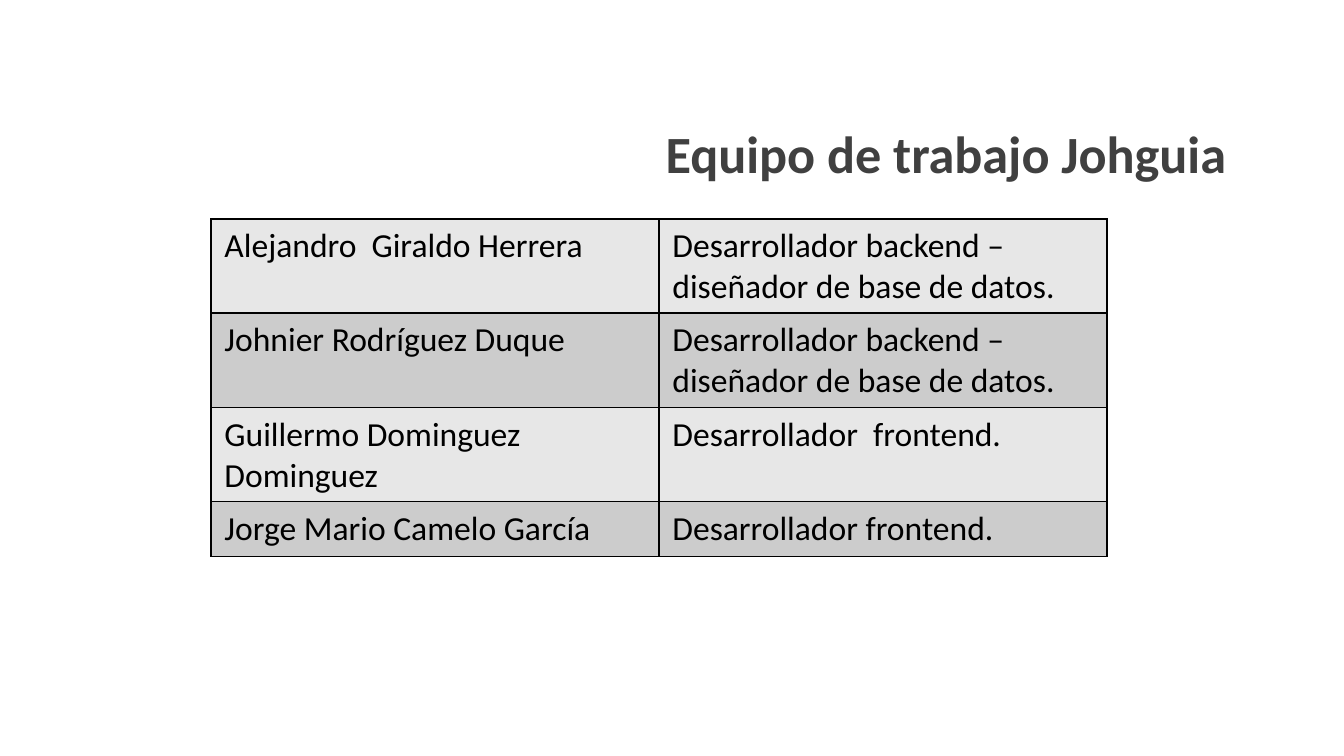
from dataclasses import dataclass

from lxml.etree import SubElement
from pptx import Presentation
from pptx.dml.color import RGBColor
from pptx.enum.text import PP_ALIGN
from pptx.oxml.ns import qn
from pptx.util import Inches, Pt


@dataclass(frozen=True)
class Theme:
    """Colours, font and type sizes of the slide."""
    font: str = "Calibri"
    heading: str = "404040"
    body: str = "000000"
    border: str = "000000"
    bands: tuple = ("E7E7E7", "CCCCCC")
    heading_size: int = 28
    body_size: int = 18
    border_width: int = 1


THEME = Theme()
WIDTH = Inches(10)
HEIGHT = WIDTH * 9 // 16
COLUMN_WIDTH = WIDTH // 3
ROW_HEIGHTS = [Inches(height) for height in (0.7, 0.7, 0.7, 0.41)]
DATABASE_ROLE = "Desarrollador backend – diseñador de base de datos."
TEAM = [
    ("Alejandro  Giraldo Herrera", DATABASE_ROLE),
    ("Johnier Rodríguez Duque", DATABASE_ROLE),
    ("Guillermo Dominguez Dominguez", "Desarrollador  frontend."),
    ("Jorge Mario Camelo García", "Desarrollador frontend."),
]


def style_text(paragraph, size, color, bold=False):
    """Set the font of a whole paragraph."""
    font = paragraph.font
    font.name, font.size, font.bold = THEME.font, Pt(size), bold
    font.color.rgb = RGBColor.from_string(color)


def add_heading(slide, text):
    """Add the right-aligned heading above the table."""
    heading = slide.shapes.add_textbox(
        Inches(4.23), Inches(0.85), Inches(4.99), Inches(0.57))
    frame = heading.text_frame
    frame.word_wrap = True
    paragraph = frame.paragraphs[0]
    paragraph.text = text
    paragraph.alignment = PP_ALIGN.RIGHT
    style_text(paragraph, THEME.heading_size, THEME.heading, bold=True)


def draw_borders(cell):
    """Draw a solid line on all four sides of a cell."""
    properties = cell._tc.get_or_add_tcPr()
    for position, side in enumerate(("lnL", "lnR", "lnT", "lnB")):
        line = SubElement(properties, qn(f"a:{side}"), w=str(Pt(THEME.border_width)))
        properties.insert(position, line)
        fill = SubElement(line, qn("a:solidFill"))
        SubElement(fill, qn("a:srgbClr"), val=THEME.border)


def fill_cell(cell, text, band):
    """Write and style one table cell."""
    cell.text = text
    style_text(cell.text_frame.paragraphs[0], THEME.body_size, THEME.body)
    cell.fill.solid()
    cell.fill.fore_color.rgb = RGBColor.from_string(band)
    draw_borders(cell)


def add_team_table(slide, team):
    """Add the table of members and roles with alternating bands."""
    columns = len(team[0])
    table = slide.shapes.add_table(
        len(team), columns, Inches(1.57), Inches(1.63),
        columns * COLUMN_WIDTH, sum(ROW_HEIGHTS)).table
    table.first_row = False
    for row_index, member in enumerate(team):
        table.rows[row_index].height = ROW_HEIGHTS[row_index]
        band = THEME.bands[row_index % len(THEME.bands)]
        for column_index, text in enumerate(member):
            fill_cell(table.cell(row_index, column_index), text, band)


def main():
    """Build and save the team slide."""
    presentation = Presentation()
    presentation.slide_width, presentation.slide_height = WIDTH, HEIGHT
    slide = presentation.slides.add_slide(presentation.slide_layouts[6])
    add_heading(slide, "Equipo de trabajo Johguia")
    add_team_table(slide, TEAM)
    presentation.save("out.pptx")


if __name__ == "__main__":
    main()
